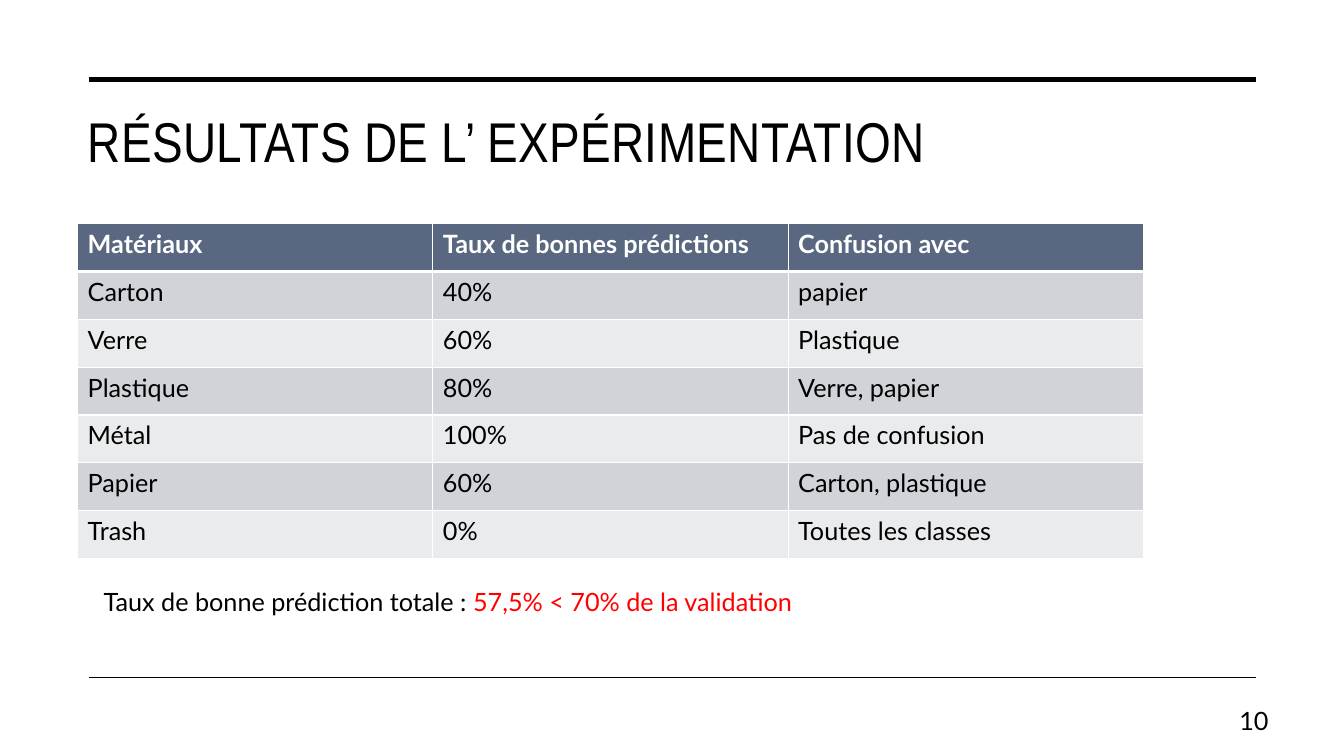
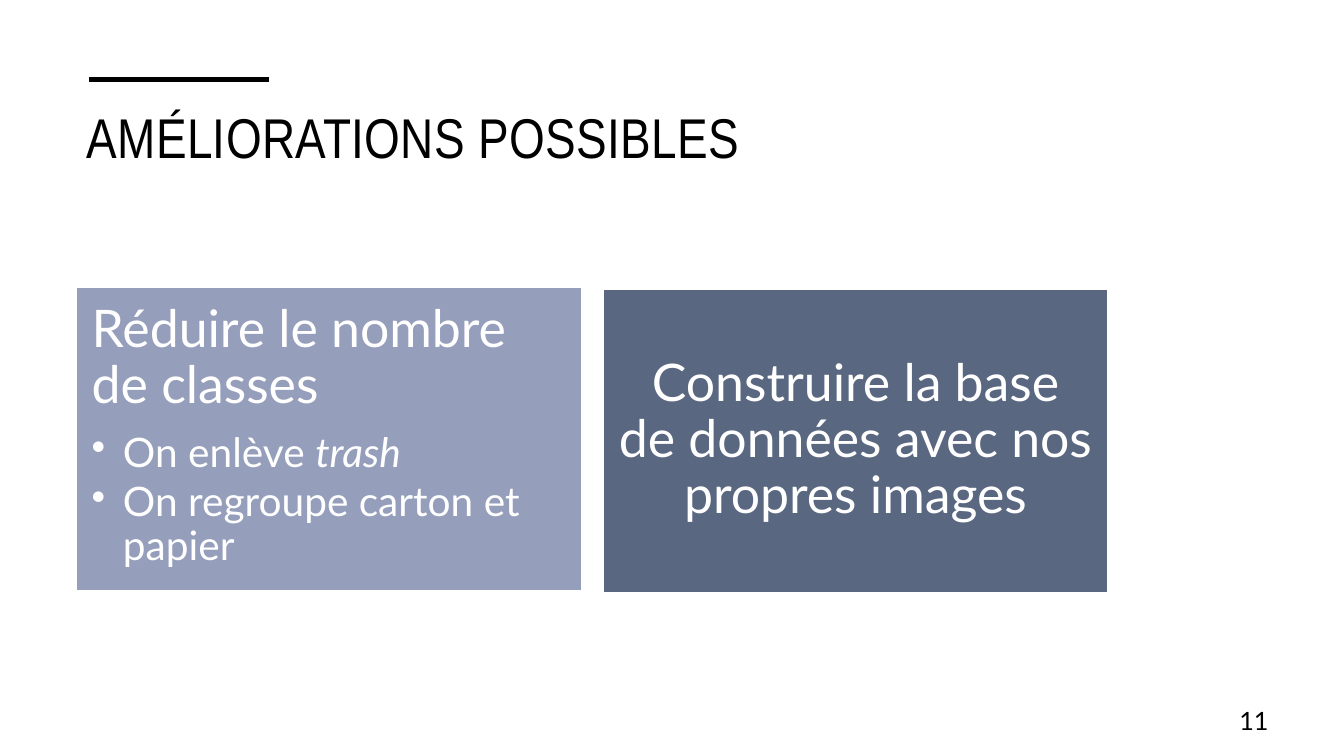
from lxml import etree
from pptx import Presentation
from pptx.dml.color import RGBColor
from pptx.enum.shapes import MSO_CONNECTOR, MSO_SHAPE
from pptx.enum.text import MSO_ANCHOR, PP_ALIGN
from pptx.oxml.ns import qn
from pptx.util import Emu, Pt

EMU_PER_PX = 9144  # 100 px to the inch

BLACK = RGBColor(0x00, 0x00, 0x00)
WHITE = RGBColor(0xFF, 0xFF, 0xFF)
RED = RGBColor(0xFF, 0x00, 0x00)
SLATE = RGBColor(0x59, 0x67, 0x81)
LAVENDER = RGBColor(0x95, 0x9E, 0xBB)
GREY = RGBColor(0xD1, 0xD3, 0xD8)
PALE_GREY = RGBColor(0xEA, 0xEB, 0xED)

TITLE_FONT = "Arial Narrow"
BODY_FONT = "Lato"

STRAIGHT = MSO_CONNECTOR.STRAIGHT
RECTANGLE = MSO_SHAPE.RECTANGLE
TOP, MIDDLE = MSO_ANCHOR.TOP, MSO_ANCHOR.MIDDLE
LEFT, CENTER, RIGHT = PP_ALIGN.LEFT, PP_ALIGN.CENTER, PP_ALIGN.RIGHT

RULE_LEFT, RULE_RIGHT = 88, 1246
RULE_TOP, RULE_BOTTOM = 79, 672
CARD_WIDTH, CARD_HEIGHT, CARD_PADDING = 501, 301, 15
BULLET_INDENT = 31

RESULTS = [
    ("Matériaux", "Taux de bonnes prédictions", "Confusion avec"),
    ("Carton", "40%", "papier"),
    ("Verre", "60%", "Plastique"),
    ("Plastique", "80%", "Verre, papier"),
    ("Métal", "100%", "Pas de confusion"),
    ("Papier", "60%", "Carton, plastique"),
    ("Trash", "0%", "Toutes les classes"),
]


def px(*lengths):
    return [Emu(length * EMU_PER_PX) for length in lengths]


def style_font(font, size, color, name=BODY_FONT, bold=False):
    font.name = name
    font.size = Pt(size)
    font.bold = bold
    font.color.rgb = color


def add_span(para, text, size, color, name=BODY_FONT):
    span = para.add_run()
    span.text = text
    style_font(span.font, size, color, name)
    return span


def add_text_box(page, left, top, width, height, anchor=TOP, align=LEFT):
    """Add an empty text box and return its first paragraph."""
    frame = page.shapes.add_textbox(*px(left, top, width, height)).text_frame
    frame.word_wrap = True
    frame.vertical_anchor = anchor
    para = frame.paragraphs[0]
    para.alignment = align
    return para


def add_title(page, text, left, top, width, height):
    para = add_text_box(page, left, top, width, height)
    span = add_span(para, text, 40, BLACK, TITLE_FONT)
    span.font._element.set("spc", "30")


def add_page_number(page, number):
    para = add_text_box(page, 1194, 695, 74, 40, MIDDLE, RIGHT)
    add_span(para, str(number), 18, BLACK)


def add_rule(page, right, y, weight):
    rule = page.shapes.add_connector(STRAIGHT, *px(RULE_LEFT, y, right, y))
    rule.line.color.rgb = BLACK
    rule.line.width = Pt(weight)
    etree.SubElement(rule._element.spPr, qn("a:effectLst"))


def add_cell_borders(cell, top, bottom):
    """Draw white borders; top and bottom are weights in points."""
    properties = cell._tc.get_or_add_tcPr()
    for tag, weight in (("lnL", 1), ("lnR", 1), ("lnT", top), ("lnB", bottom)):
        border = etree.SubElement(properties, qn(f"a:{tag}"), w=str(Pt(weight)))
        fill = etree.SubElement(border, qn("a:solidFill"))
        etree.SubElement(fill, qn("a:srgbClr"), val=str(WHITE))


def add_results_table(page, rows, left, top, width, height):
    frame = page.shapes.add_table(
        len(rows), len(rows[0]), *px(left, top, width, height))
    for row, texts in enumerate(rows):
        header = row == 0
        fill = SLATE if header else (PALE_GREY, GREY)[row % 2]
        for column, text in enumerate(texts):
            cell = frame.table.cell(row, column)
            add_cell_borders(cell, 3 if row == 1 else 1, 3 if header else 1)
            cell.fill.solid()
            cell.fill.fore_color.rgb = fill
            cell.text_frame.text = text
            style_font(cell.text_frame.paragraphs[0].runs[0].font, 18,
                       WHITE if header else BLACK, bold=header)


def add_card(page, left, top, fill, heading, anchor=TOP, align=LEFT):
    """Add a filled card with its heading and return its text frame."""
    card = page.shapes.add_shape(
        RECTANGLE, *px(left, top, CARD_WIDTH, CARD_HEIGHT))
    card.shadow.inherit = False
    card.fill.solid()
    card.fill.fore_color.rgb = fill
    card.line.color.rgb = WHITE
    card.line.width = Pt(1)
    frame = card.text_frame
    frame.word_wrap = True
    frame.vertical_anchor = anchor
    (frame.margin_left, frame.margin_top,
     frame.margin_right, frame.margin_bottom) = px(*[CARD_PADDING] * 4)
    para = frame.paragraphs[0]
    para.alignment = align
    para.line_spacing = 0.9
    para.space_after = Pt(13)
    add_span(para, heading, 37, WHITE)
    return frame


def add_bullet(frame, text, emphasis=""):
    para = frame.add_paragraph()
    para.level = 1
    para.alignment = LEFT
    para.line_spacing = 0.9
    para.space_after = Pt(4)
    properties = para._p.get_or_add_pPr()
    indent = px(BULLET_INDENT)[0]
    properties.set("marL", str(indent))
    properties.set("indent", str(-indent))
    etree.SubElement(properties, qn("a:buChar"), char="•")
    add_span(para, text, 29, WHITE)
    if emphasis:
        add_span(para, emphasis, 29, WHITE).font.italic = True


def add_page(deck):
    return deck.slides.add_slide(deck.slide_layouts[6])


def build_results(deck):
    page = add_page(deck)
    add_rule(page, RULE_RIGHT, RULE_TOP, 3.5)
    add_rule(page, RULE_RIGHT, RULE_BOTTOM, 1)
    add_title(page, "RÉSULTATS DE L’ EXPÉRIMENTATION", 77, 101, 1169, 96)
    add_results_table(page, RESULTS, 77, 222, 1057, 332)
    total = add_text_box(page, 93, 577, 706, 40)
    add_span(total, "Taux de bonne prédiction totale : ", 18, BLACK)
    add_span(total, "57,5% < 70% de la validation", 18, RED)
    add_page_number(page, 10)


def build_improvements(deck):
    page = add_page(deck)
    add_title(page, "AMÉLIORATIONS POSSIBLES", 76, 97, 1181, 115)
    add_rule(page, 267, RULE_TOP, 3.5)
    classes = add_card(page, 76, 285, LAVENDER, "Réduire le nombre de classes")
    add_bullet(classes, "On enlève ", "trash")
    add_bullet(classes, "On regroupe carton et papier")
    add_card(page, 598, 287, SLATE,
             "Construire la base de données avec nos propres images",
             MIDDLE, CENTER)
    add_page_number(page, 11)


def main():
    deck = Presentation()
    deck.slide_width, deck.slide_height = px(1333, 750)
    build_results(deck)
    build_improvements(deck)
    deck.save("out.pptx")


if __name__ == "__main__":
    main()
